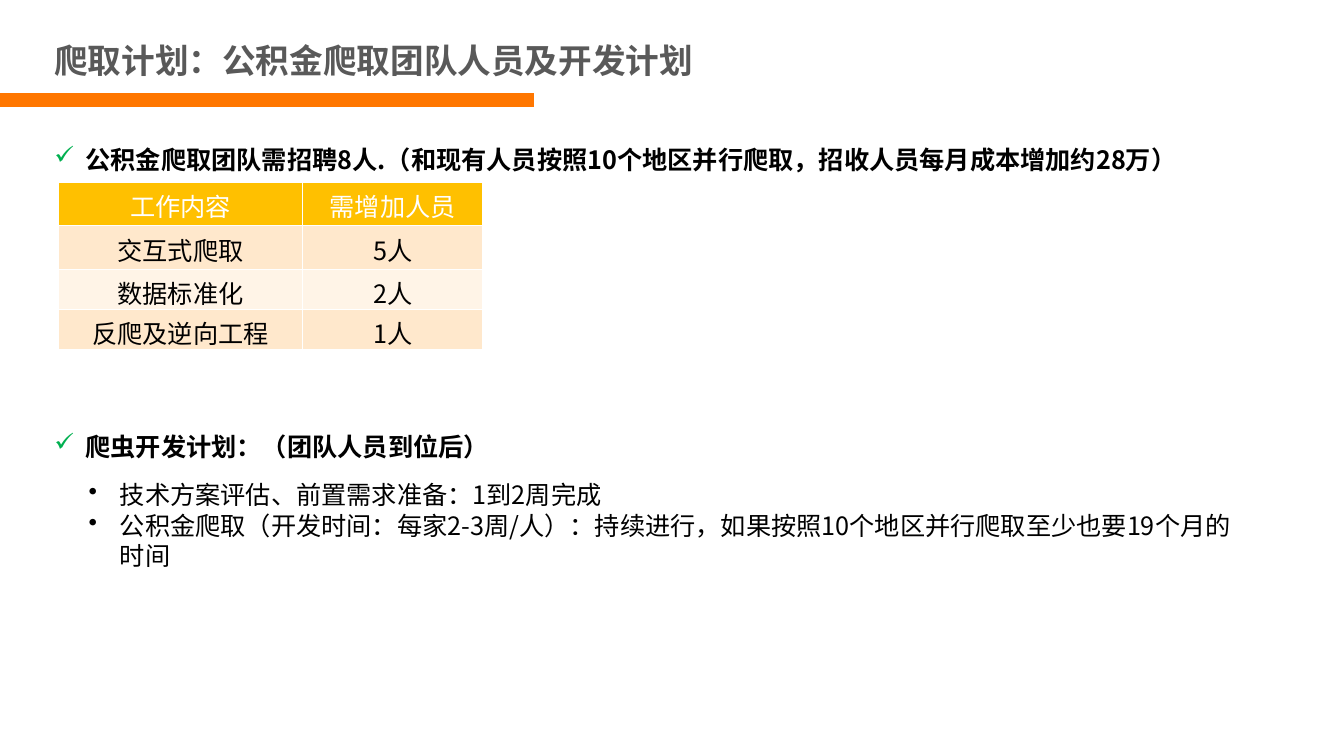
from pptx import Presentation
from pptx.dml.color import RGBColor
from pptx.enum.shapes import MSO_CONNECTOR
from pptx.enum.text import MSO_ANCHOR, PP_ALIGN
from pptx.oxml.ns import qn
from pptx.util import Inches, Pt
from lxml.etree import SubElement

TITLE = "爬取计划：公积金爬取团队人员及开发计划"
HIRING = "公积金爬取团队需招聘8人.（和现有人员按照10个地区并行爬取，招收人员每月成本增加约28万）"
STAFF = [
    ("工作内容", "需增加人员"),
    ("交互式爬取", "5人"),
    ("数据标准化", "2人"),
    ("反爬及逆向工程", "1人"),
]
SCHEDULE = "爬虫开发计划：（团队人员到位后）"
STEPS = [
    "技术方案评估、前置需求准备：1到2周完成",
    "公积金爬取（开发时间：每家2-3周/人）：持续进行，如果按照10个地区并行爬取至少也要19个月的时间",
]

THEME = {
    "font": "Noto Sans CJK SC",
    "title_size": 24, "body_size": 18,
    "title": "595959", "text": "000000", "white": "FFFFFF",
    "rule": "FF7700", "check": "00B050",
    "header": "FFC000", "bands": ("FFE8CC", "FFF4E7"),
}
WIDTH, HEIGHT = 13.33, 7.5
MARGIN, INDENT = 0.44, 0.31
HEADING_BOX = (12.21, 0.71)
COLUMN_WIDTHS = (2.42, 1.79)
ROW_HEIGHTS = (0.43, 0.43, 0.4, 0.4)


def rgb(role):
    return RGBColor.from_string(THEME.get(role, role))


def style(paragraph, size="body_size", color="text", bold=False):
    font = paragraph.font
    font.name = THEME["font"]
    font.size = Pt(THEME[size])
    font.bold = bold
    font.color.rgb = rgb(color)
    east_asian = SubElement(paragraph._p.pPr.find(qn("a:defRPr")), qn("a:ea"))
    east_asian.set("typeface", THEME["font"])


def bullet(paragraph, mark, color):
    properties = paragraph._p.get_or_add_pPr()
    properties.set("marL", str(Inches(INDENT)))
    properties.set("indent", str(-Inches(INDENT)))
    tint = SubElement(properties, qn("a:buClr"))
    SubElement(tint, qn("a:srgbClr")).set("val", THEME[color])
    SubElement(properties, qn("a:buChar")).set("char", mark)


def add_text(left, top, width, height, lines, mark=None, mark_color="text",
             spacing=None, **look):
    frame = slide.shapes.add_textbox(*map(Inches, (left, top, width, height))).text_frame
    frame.word_wrap = True
    for index, line in enumerate(lines):
        paragraph = frame.add_paragraph() if index else frame.paragraphs[0]
        paragraph.text = line
        if mark:
            bullet(paragraph, mark, mark_color)
        if spacing:
            paragraph.line_spacing = spacing
        style(paragraph, **look)


def add_staff_table(left, top):
    table = slide.shapes.add_table(
        len(STAFF), len(COLUMN_WIDTHS), Inches(left), Inches(top),
        Inches(sum(COLUMN_WIDTHS)), Inches(sum(ROW_HEIGHTS))).table
    for column, width in zip(table.columns, COLUMN_WIDTHS):
        column.width = Inches(width)
    for r, (row, height) in enumerate(zip(table.rows, ROW_HEIGHTS)):
        row.height = Inches(height)
        for cell, content in zip(row.cells, STAFF[r]):
            cell.text = content
            cell.fill.solid()
            cell.fill.fore_color.rgb = rgb(THEME["bands"][(r - 1) % 2] if r else "header")
            cell.vertical_anchor = MSO_ANCHOR.MIDDLE if r else MSO_ANCHOR.TOP
            paragraph = cell.text_frame.paragraphs[0]
            paragraph.alignment = PP_ALIGN.CENTER
            style(paragraph, color="text" if r else "white")


deck = Presentation()
deck.slide_width, deck.slide_height = Inches(WIDTH), Inches(HEIGHT)
slide = deck.slides.add_slide(deck.slide_layouts[6])

add_text(MARGIN, 0.35, 7.55, 0.5, [TITLE], size="title_size", color="title", bold=True)
rule = slide.shapes.add_connector(
    MSO_CONNECTOR.STRAIGHT, 0, Inches(0.99), Inches(WIDTH * 0.397), Inches(0.99))
rule.line.color.rgb = rgb("rule")
rule.line.width = Pt(10)
SubElement(rule._element.spPr, qn("a:effectLst"))

add_staff_table(0.58, 1.81)
for heading, top in ((HIRING, 1.08), (SCHEDULE, 3.93)):
    add_text(MARGIN, top, *HEADING_BOX, [heading], mark="✓", mark_color="check",
             spacing=2.0, bold=True)
add_text(0.78, 4.71, 11.72, 1.01, STEPS, mark="•")

deck.save("out.pptx")
